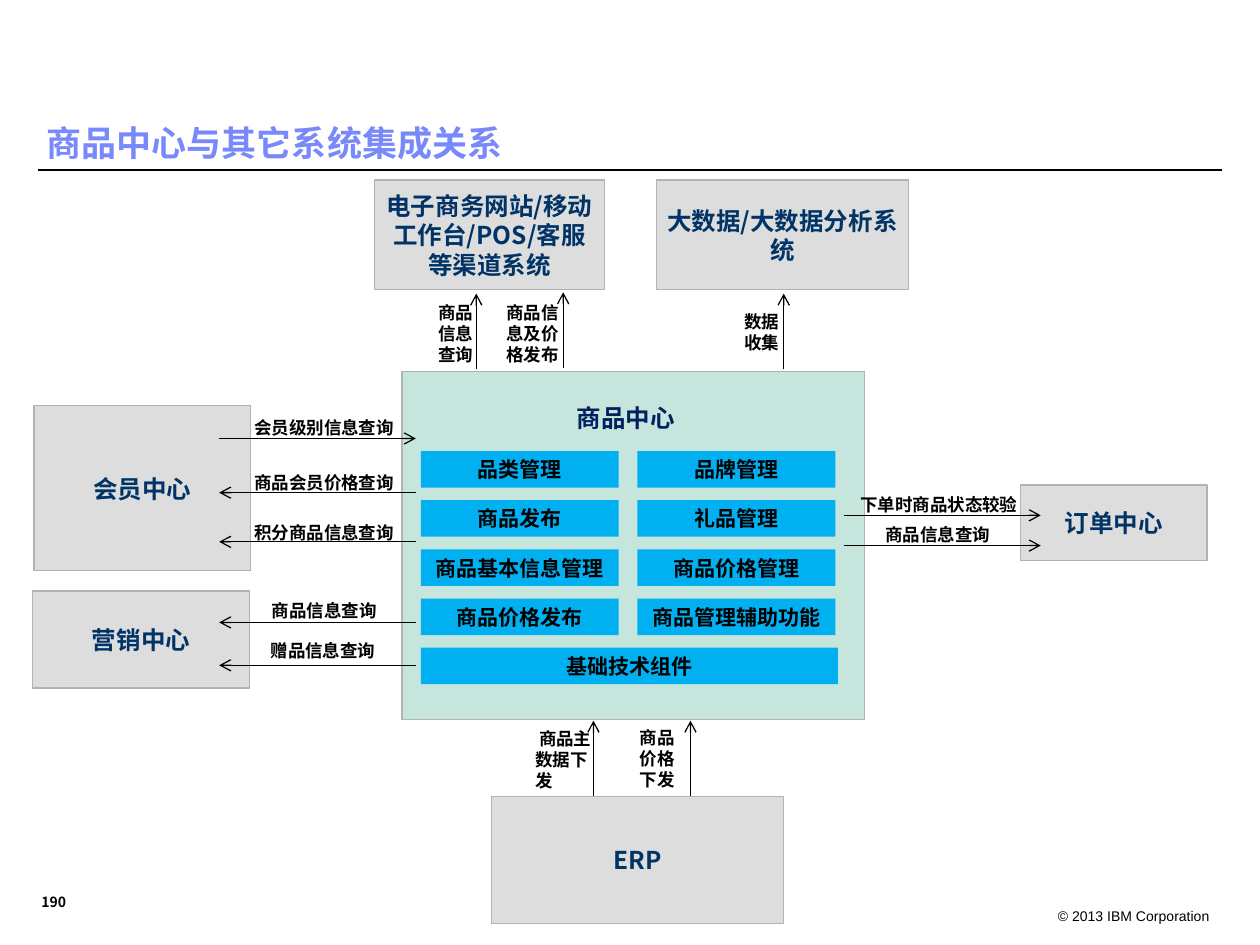
from dataclasses import dataclass
from typing import Any

from lxml.etree import SubElement
from pptx import Presentation
from pptx.dml.color import RGBColor
from pptx.enum.shapes import MSO_CONNECTOR, MSO_SHAPE
from pptx.enum.text import MSO_ANCHOR, MSO_AUTO_SIZE, PP_ALIGN
from pptx.oxml.ns import qn
from pptx.util import Inches, Pt

COLS, ROWS = 100, 75  # grid laid over the whole slide


def rgb(value):
    return RGBColor.from_string(value)


@dataclass
class Diagram:
    prs: Any
    s: Any
    font: str = "Noto Sans CJK SC"
    ink: str = "000000"
    edge: str = "B2B2B2"

    def x(self, col):
        return round(self.prs.slide_width * col / COLS)

    def y(self, row):
        return round(self.prs.slide_height * row / ROWS)

    def place(self, col, row, cols, rows):
        return self.x(col), self.y(row), self.x(cols), self.y(rows)

    def set_text(self, sp, text, size, color=None, bold=True, font=None,
                 align=PP_ALIGN.LEFT, anchor=MSO_ANCHOR.TOP, inset=(0.1, 0.05)):
        """Fill a shape with text, one paragraph for each line."""
        tf = sp.text_frame
        dx, dy = map(Inches, inset)
        frame = dict(word_wrap=True, auto_size=MSO_AUTO_SIZE.NONE,
                     vertical_anchor=anchor, margin_left=dx, margin_right=dx,
                     margin_top=dy, margin_bottom=dy)
        for name, value in frame.items():
            setattr(tf, name, value)
        tf.text = text
        font = font or self.font
        for p in tf.paragraphs:
            p.alignment = align
            for r in p.runs:
                for name, value in dict(name=font, size=Pt(size), bold=bold).items():
                    setattr(r.font, name, value)
                r.font.color.rgb = rgb(color or self.ink)
                SubElement(r.font._element, qn("a:ea"), typeface=font)
        return tf

    def title(self, text, at):
        sp = self.s.shapes.title
        for name, value in zip(("left", "top", "width", "height"), self.place(*at)):
            setattr(sp, name, value)
        tf = self.set_text(sp, text, 20, "7889FB", anchor=MSO_ANCHOR.BOTTOM)
        tf.paragraphs[0].line_spacing = 0.9

    def box(self, at, fill, text="", size=14, color="003366", edge=None):
        sp = self.s.shapes.add_shape(MSO_SHAPE.RECTANGLE, *self.place(*at))
        sp.shadow.inherit = False
        sp.fill.solid()
        sp.fill.fore_color.rgb = rgb(fill)
        if edge:
            sp.line.color.rgb = rgb(edge)
            sp.line.width = Pt(0.75)
        else:
            sp.line.fill.background()
        if text:
            self.set_text(sp, text, size, color, align=PP_ALIGN.CENTER,
                          anchor=MSO_ANCHOR.MIDDLE, inset=(0.06, 0.03))

    def system(self, text, *at):
        self.box(at, "DDDDDD", text, edge=self.edge)

    def module(self, text, *at):
        self.box(at, "00B0F0", text, 12, self.ink)

    def label(self, text, at, size=10, **style):
        sp = self.s.shapes.add_textbox(*self.place(*at))
        return self.set_text(sp, text, size, **style)

    def line(self, x1, y1, x2, y2, arrow=True):
        """Draw a line; an arrow points to its second end."""
        c = self.s.shapes.add_connector(MSO_CONNECTOR.STRAIGHT, self.x(x1),
                                        self.y(y1), self.x(x2), self.y(y2))
        c.line.color.rgb = rgb(self.ink)
        c.line.width = Pt(0.75)
        if arrow:
            SubElement(c.line._get_or_add_ln(), qn("a:tailEnd"), type="arrow")
        SubElement(c._element.spPr, qn("a:effectLst"))


SYSTEMS = [
    ("订单中心", 81, 38.5, 14.8, 6),
    ("营销中心", 2.6, 46.9, 17.2, 7.7),
    ("会员中心", 2.7, 32.2, 17.2, 13.1),
    ("电子商务网站/移动工作台/POS/客服等渠道系统", 29.7, 14.3, 18.3, 8.7),
    ("大数据/大数据分析系统", 52.1, 14.3, 20, 8.7),
    ("ERP", 39, 63.2, 23.2, 10.1),
]
MODULES = [
    ("品类管理", "品牌管理"),
    ("商品发布", "礼品管理"),
    ("商品基本信息管理", "商品价格管理"),
    ("商品价格发布", "商品管理辅助功能"),
]
LEFT, LEFT_CENTER = 17.4, 33
RIGHT_CENTER, RIGHT = 67, 82.6
# label, label column, label row, label width, arrow start, arrow end, arrow row
SIDE_FLOWS = [
    ("会员级别信息查询", 19.2, 32.6, 17.3, LEFT, LEFT_CENTER, 34.8),
    ("商品会员价格查询", 19.2, 37, 17.3, LEFT_CENTER, LEFT, 39.1),
    ("积分商品信息查询", 19.2, 40.9, 14.3, LEFT_CENTER, LEFT, 43),
    ("商品信息查询", 20.6, 47.1, 14.3, LEFT_CENTER, LEFT, 49.4),
    ("赠品信息查询", 20.5, 50.3, 15.6, LEFT_CENTER, LEFT, 52.8),
    ("下单时商品状态较验", 67.3, 38.7, 16.9, RIGHT_CENTER, RIGHT, 40.9),
    ("商品信息查询", 69.3, 41.1, 10.9, RIGHT_CENTER, RIGHT, 43.3),
]
# label, label column, label row, label width, arrow column, arrow tip row
UP_FLOWS = [
    ("商品\n信息\n查询", 33.8, 23.5, 10.9, 37.8, 23.3),
    ("商品信\n息及价\n格发布", 39.2, 23.5, 10.9, 44.7, 23.2),
    ("数据\n收集", 58.1, 24.2, 10.9, 62.2, 23.3),
    ("商品主数据下发", 41.5, 57.3, 6.6, 47.1, 57.2),
    ("商品\n价格\n下发", 49.8, 57.2, 7.9, 54.8, 57.2),
]


def main():
    prs = Presentation()
    prs.slide_width, prs.slide_height = Inches(10), Inches(7.5)
    d = Diagram(prs, prs.slides.add_slide(prs.slide_layouts[5]))

    d.line(3, 13.5, 97, 13.5, arrow=False)
    d.title("商品中心与其它系统集成关系", (2.7, 6.5, 96.6, 7))

    d.box((31.9, 29.5, 36.7, 27.6), "C6E5DC", edge=d.edge)
    d.label("商品中心", (44.8, 31.5, 13.1, 3.4), 14, color="002060")
    for i, pair in enumerate(MODULES):
        for col, text in zip((33.4, 50.6), pair):
            d.module(text, col, 35.8 + 3.9 * i, 15.7, 2.9)
    d.module("基础技术组件", 33.4, 51.4, 33.1, 2.9)

    for system in SYSTEMS:
        d.system(*system)
    for text, col, row, width, start, end, level in SIDE_FLOWS:
        d.line(start, level, end, level)
        d.label(text, (col, row, width, 2.7))
    for text, col, row, width, at, tip in UP_FLOWS:
        d.line(at, tip + 6, at, tip)
        tf = d.label(text, (col, row, width, 6.1))
        if "\n" not in text:
            tf.paragraphs[0]._p.get_or_add_pPr().set("indent", str(Inches(0.03)))

    d.label("190", (2.3, 70.3, 4.4, 2.4), 8, anchor=MSO_ANCHOR.BOTTOM)
    d.label("© 2013 IBM Corporation", (82, 71.5, 15, 2), 8, bold=False,
            font="Arial", align=PP_ALIGN.RIGHT)
    prs.save("out.pptx")


if __name__ == "__main__":
    main()
